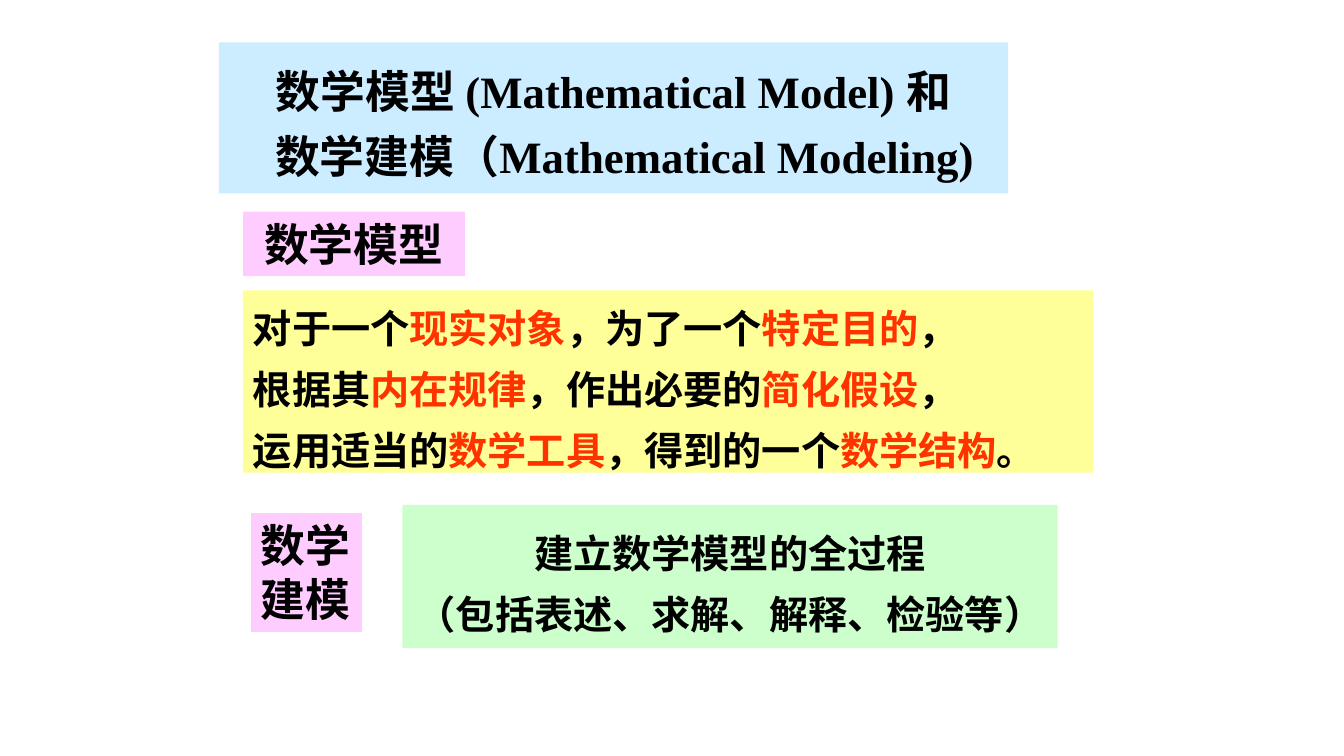
import pptx
import pptx.util
import pptx.dml.color
import pptx.enum.shapes
import pptx.enum.text

WIDE, HIGH = 13.33, 7.5
SERIF, SANS = "Times New Roman", "Noto Sans CJK SC"
INK, RED = "000000", "FF3300"
PINK = "FFCCFF"
MID = pptx.enum.text.PP_ALIGN.CENTER
LEFT = pptx.enum.text.PP_ALIGN.LEFT

# Panels: place in percent of the slide (left, top, width, height), fill,
# font, size, alignment, line spacing, lines; every second run is red
PANELS = [
    ((16.28, 5.6, 58.74, 20), "CCECFF", SERIF, 32, MID, 1.2, [
        ["数学模型 (Mathematical Model) 和"],
        ["数学建模（Mathematical Modeling)"],
    ]),
    ((18.08, 38.4, 63.24, 24.13), "FFFF99", SANS, 28, LEFT, 1.3, [
        ["对于一个", "现实对象", "，为了一个", "特定目的", "，"],
        ["根据其", "内在规律", "，作出必要的", "简化假设", "，"],
        ["运用适当的", "数学工具", "，得到的一个", "数学结构", "。"],
    ]),
    ((29.93, 66.8, 48.76, 18.93), "CCFFCC", SERIF, 28, MID, 1.3, [
        ["建立数学模型的全过程"],
        ["（包括表述、求解、解释、检验等）"],
    ]),
]

# Labels: place, alignment, text
LABELS = [
    ((18.08, 28, 16.5, 8.53), MID, "数学模型"),
    ((18.68, 67.87, 8.25, 15.73), LEFT, "数学建模"),
]


def color(code):
    return pptx.dml.color.RGBColor.from_string(code)


def add_box(slide, place, fill):
    sides = (WIDE, HIGH, WIDE, HIGH)
    spot = [pptx.util.Inches(part * side / 100)
            for part, side in zip(place, sides)]
    box = slide.shapes.add_shape(
        pptx.enum.shapes.MSO_SHAPE.RECTANGLE, *spot)
    box.shadow.inherit = False
    box.fill.solid()
    box.fill.fore_color.rgb = color(fill)
    box.line.fill.background()
    return box


def add_line(para, runs, face, size, align, space):
    para.alignment = align
    para.line_spacing = space
    for i, text in enumerate(runs):
        run = para.add_run()
        run.text = text
        font = run.font
        font.name, font.size, font.bold = face, pptx.util.Pt(size), True
        font.color.rgb = color(RED if i % 2 else INK)
        # East Asian face
        east = run._r.get_or_add_rPr().makeelement(
            pptx.oxml.ns.qn("a:ea"), {"typeface": SANS})
        run._r.rPr.find(pptx.oxml.ns.qn("a:latin")).addnext(east)


def main():
    deck = pptx.Presentation()
    deck.slide_width = pptx.util.Inches(WIDE)
    deck.slide_height = pptx.util.Inches(HIGH)
    slide = deck.slides.add_slide(deck.slide_layouts[6])

    # Text panels
    frames = []
    for place, fill, face, size, align, space, lines in PANELS:
        frame = add_box(slide, place, fill).text_frame
        frame.word_wrap = False
        frame.vertical_anchor = pptx.enum.text.MSO_ANCHOR.MIDDLE
        for i, runs in enumerate(lines):
            para = frame.add_paragraph() if i else frame.paragraphs[0]
            add_line(para, runs, face, size, align, space)
        frames.append(frame)

    # Second title line sits a little to the right
    props = frames[0].paragraphs[1]._p.get_or_add_pPr()
    props.set("marL", str(pptx.util.Pt(16)))

    # Pink labels
    for place, align, text in LABELS:
        frame = add_box(slide, place, PINK).text_frame
        frame.word_wrap = True
        frame.auto_size = pptx.enum.text.MSO_AUTO_SIZE.SHAPE_TO_FIT_TEXT
        frame.vertical_anchor = pptx.enum.text.MSO_ANCHOR.TOP
        add_line(frame.paragraphs[0], [text], SERIF, 32, align, 1.0)

    deck.save("out.pptx")


if __name__ == "__main__":
    main()
